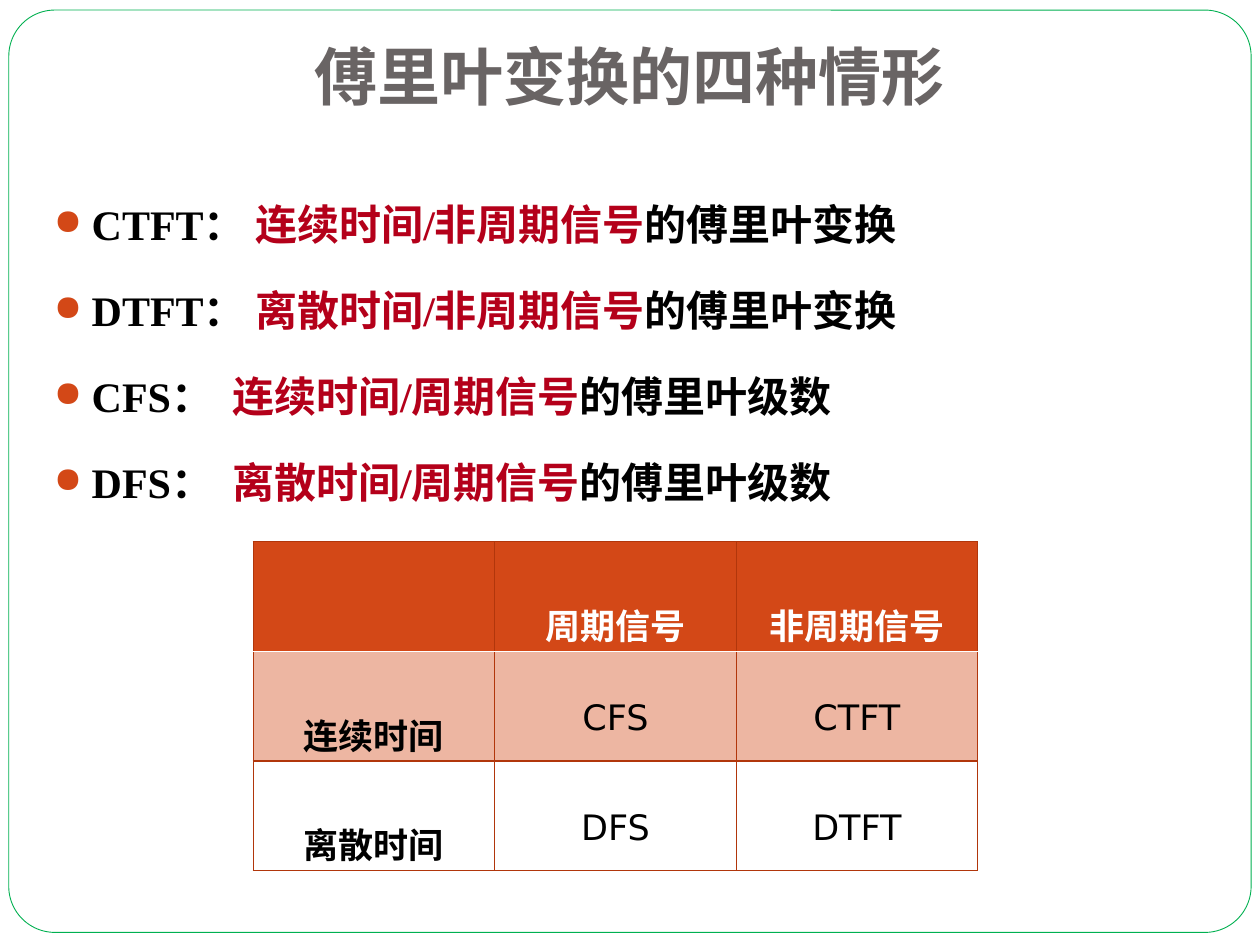
"""Build a slide on the four cases of the Fourier transform."""
from lxml import etree
from pptx import Presentation
from pptx import util as u
from pptx.dml.color import RGBColor
from pptx.enum import shapes, text
from pptx.oxml.ns import qn

COLORS = {"frame": "00B050", "white": "FFFFFF", "title": "696464", "black": "000000",
          "key": "B4001A", "accent": "D34817", "border": "B1360B", "band": "EDB6A2"}
COLS, ROWS = 100, 75

prs = Presentation()
prs.slide_width, prs.slide_height = u.Inches(10), u.Inches(7.5)
col, row = prs.slide_width / COLS, prs.slide_height / ROWS
s = prs.slides.add_slide(prs.slide_layouts[5])


def box(x, y, w, h):
    return [u.Emu(round(n * unit)) for n, unit in zip((x, y, w, h), (col, row, col, row))]


def style(r, size, color, font, bold):
    r.font.size, r.font.name, r.font.bold = u.Pt(size), font, bold
    r.font.color.rgb = RGBColor.from_string(COLORS[color])


frame = s.shapes.add_shape(shapes.MSO_SHAPE.ROUNDED_RECTANGLE, *box(0.7, 0.8, 98.6, 73.2))
frame.adjustments[0] = 0.05
frame.shadow.inherit = False
frame.fill.solid()
frame.fill.fore_color.rgb = RGBColor.from_string(COLORS["white"])
frame.line.color.rgb = RGBColor.from_string(COLORS["frame"])
frame.line.width = u.Pt(0.5)

title = s.shapes.title
title.element.addprevious(frame.element)
title.left, title.top, title.width, title.height = box(3.3, 1.3, 93.3, 8.7)
tf = title.text_frame
tf.text = "傅里叶变换的四种情形"
tf.auto_size = text.MSO_AUTO_SIZE.NONE
tf.vertical_anchor = text.MSO_ANCHOR.BOTTOM
tf.margin_bottom = u.Inches(0.1)
tf.paragraphs[0].alignment = text.PP_ALIGN.CENTER
style(tf.paragraphs[0].runs[0], 36, "title", "Cabin", True)

cases = [("CTFT： ", "连续时间/非周期信号", "的傅里叶变换"),
         ("DTFT： ", "离散时间/非周期信号", "的傅里叶变换"),
         ("CFS：  ", "连续时间/周期信号", "的傅里叶级数"),
         ("DFS：  ", "离散时间/周期信号", "的傅里叶级数")]
tf = s.shapes.add_textbox(*box(3.3, 13.3, 93.3, 52.5)).text_frame
tf.word_wrap = True
for i, case in enumerate(cases):
    p = tf.add_paragraph() if i else tf.paragraphs[0]
    p.line_spacing, p.space_before = 1.5, u.Pt(5.8)
    for words, color in zip(case, ("black", "key", "black")):
        r = p.add_run()
        r.text = words
        style(r, 24, color, "Times New Roman", True)
    pPr = p._p.get_or_add_pPr()
    pPr.set("marL", str(u.Inches(0.3)))
    pPr.set("indent", str(-u.Inches(0.3)))
    color = etree.SubElement(pPr, qn("a:buClr"))
    etree.SubElement(color, qn("a:srgbClr"), val=COLORS["accent"])
    etree.SubElement(pPr, qn("a:buSzPct"), val="85000")
    etree.SubElement(pPr, qn("a:buChar"), char="●")

cells = [("", "周期信号", "非周期信号"),
         ("连续时间", "CFS", "CTFT"),
         ("离散时间", "DFS", "DTFT")]
fills = ["accent", "band", None]
table = s.shapes.add_table(3, 3, *box(20.1, 43, 57.5, 26.1)).table
for i, line in enumerate(cells):
    for j, words in enumerate(line):
        cell = table.cell(i, j)
        cell.text = words
        if fills[i]:
            cell.fill.solid()
            cell.fill.fore_color.rgb = RGBColor.from_string(COLORS[fills[i]])
        else:
            cell.fill.background()
        p = cell.text_frame.paragraphs[0]
        p.alignment = text.PP_ALIGN.CENTER
        if words:
            p.line_spacing = 2.0
        for r in p.runs:
            style(r, 20, "black" if i else "white", "DejaVu Sans", i == 0 or j == 0)
        tcPr = cell._tc.get_or_add_tcPr()
        for k, side in enumerate(("lnL", "lnR", "lnT", "lnB")):
            under_header = (i, side) in ((0, "lnB"), (1, "lnT"))
            color, width = ("white", 1) if under_header else ("border", 0.75)
            ln = etree.Element(qn(f"a:{side}"), w=str(u.Pt(width)))
            solid = etree.SubElement(ln, qn("a:solidFill"))
            etree.SubElement(solid, qn("a:srgbClr"), val=COLORS[color])
            tcPr.insert(k, ln)

prs.save("out.pptx")
